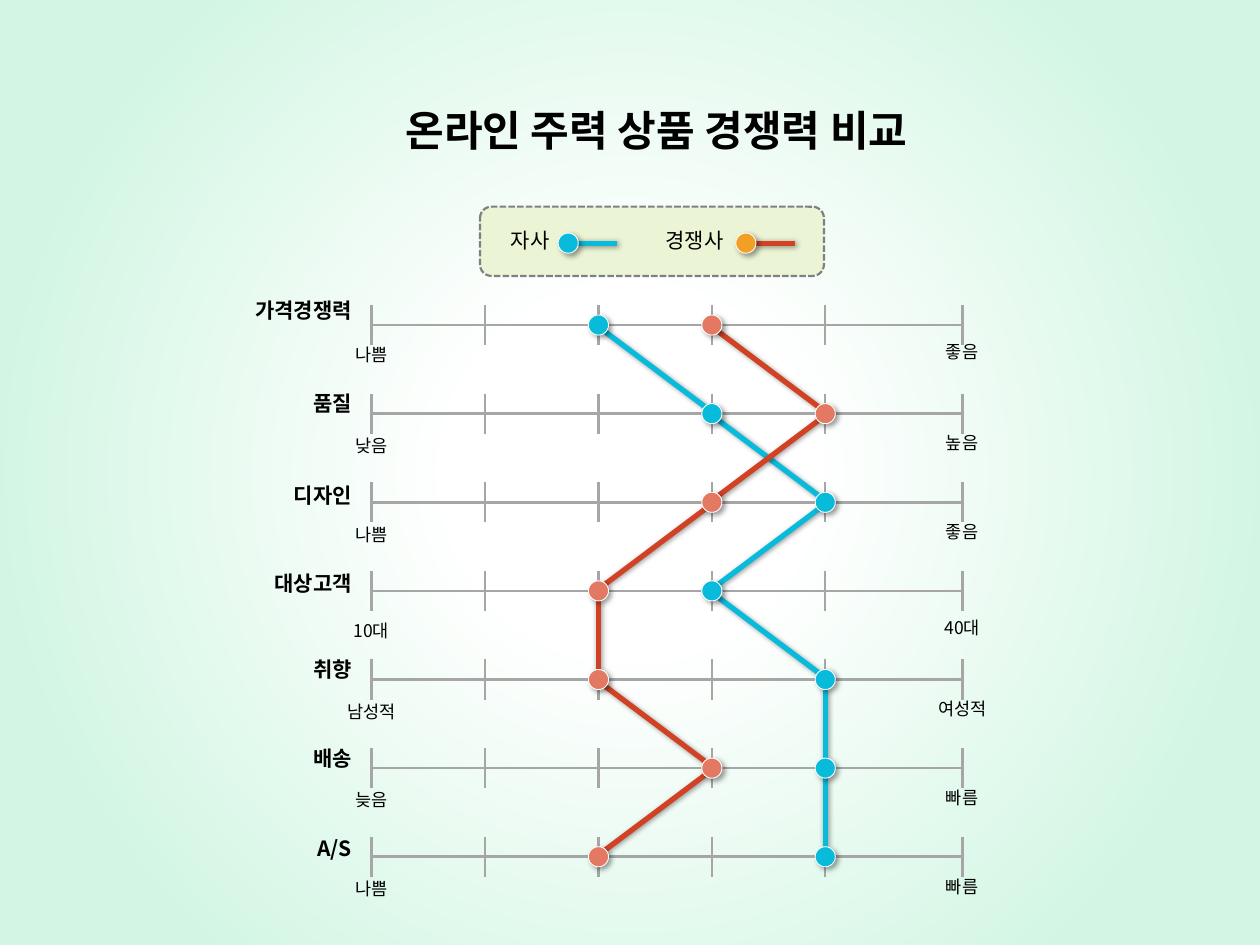
from dataclasses import dataclass

from lxml import etree
from pptx import Presentation
from pptx.dml.color import RGBColor
from pptx.enum.dml import MSO_LINE
from pptx.enum.shapes import MSO_CONNECTOR, MSO_SHAPE
from pptx.enum.text import PP_ALIGN
from pptx.oxml.ns import qn
from pptx.util import Inches, Pt

STRAIGHT = MSO_CONNECTOR.STRAIGHT
OVAL, ROUNDED = MSO_SHAPE.OVAL, MSO_SHAPE.ROUNDED_RECTANGLE
SMALL_DASH = MSO_LINE.SQUARE_DOT
CENTER, RIGHT = PP_ALIGN.CENTER, PP_ALIGN.RIGHT


@dataclass(frozen=True)
class Theme:
    font: str = "Noto Sans CJK KR"
    title_size: int = 24
    label_size: int = 12
    caption_size: int = 10
    text: str = "000000"
    white: str = "FFFFFF"
    mint: str = "D2F6E3"
    grid: str = "A6A6A6"
    own: str = "08BBDB"
    rival: str = "D14224"
    rival_marker: str = "E47963"
    rival_key: str = "F29F26"
    legend_fill: str = "ECF4D6"
    legend_line: str = "808080"


THEME = Theme()
MARKER = 0.16
LINE_SHADOW = (1, 45)
MARKER_SHADOW = (2, 40)

# name, left caption, right caption, name rise, caption drop
SCALES = [
    ("가격경쟁력", "나쁨", "좋음", 0.27, 0.10),
    ("품질", "낮음", "높음", 0.23, 0.12),
    ("디자인", "나쁨", "좋음", 0.21, 0.12),
    ("대상고객", "10대", "40대", 0.21, 0.18),
    ("취향", "남성적", "여성적", 0.23, 0.12),
    ("배송", "늦음", "빠름", 0.23, 0.12),
    ("A/S", "나쁨", "빠름", 0.22, 0.12),
]
# tick reached on each scale, line colour, marker colour
SERIES = [
    ([2, 3, 4, 3, 4, 4, 4], THEME.own, THEME.own),
    ([3, 4, 3, 2, 2, 3, 2], THEME.rival, THEME.rival_marker),
]


def rgb(value):
    return RGBColor.from_string(value)


def add_effects(properties, shadow=None):
    """Set the effect list: empty, or one outer shadow of (distance, angle)."""
    effects = properties.find(qn("a:effectLst"))
    if effects is None:
        effects = etree.SubElement(properties, qn("a:effectLst"))
    if shadow:
        distance, angle = shadow
        outer = etree.SubElement(
            effects, qn("a:outerShdw"), blurRad=str(Pt(3)), dist=str(Pt(distance)),
            dir=str(angle * 60000), algn="tl", rotWithShape="0")
        color = etree.SubElement(outer, qn("a:srgbClr"), val=THEME.text)
        etree.SubElement(color, qn("a:alpha"), val="40000")


def add_line(shapes, start, end, color, width, shadow=None):
    line = shapes.add_connector(STRAIGHT, *(Inches(v) for v in (*start, *end)))
    line.line.color.rgb = rgb(color)
    line.line.width = Pt(width)
    add_effects(line._element.spPr, shadow)


def add_panel(shapes, kind, box, fill, outline, width, shadow=None):
    panel = shapes.add_shape(kind, *(Inches(v) for v in box))
    panel.shadow.inherit = False
    panel.fill.solid()
    panel.fill.fore_color.rgb = rgb(fill)
    panel.line.color.rgb = rgb(outline)
    panel.line.width = Pt(width)
    add_effects(panel._element.spPr, shadow)
    return panel


def add_marker(shapes, x, y, color):
    box = (x - MARKER / 2, y - MARKER / 2, MARKER, MARKER)
    add_panel(shapes, OVAL, box, color, THEME.white, 0.5, MARKER_SHADOW)


def add_text(shapes, box, text, size, align, bold=False):
    frame = shapes.add_textbox(*(Inches(v) for v in box)).text_frame
    frame.word_wrap = True
    para = frame.paragraphs[0]
    para.text = text
    para.alignment = align
    font = para.font
    font.size, font.bold, font.name = Pt(size), bold, THEME.font
    font.color.rgb = rgb(THEME.text)
    latin = para._p.pPr.find(qn("a:defRPr")).find(qn("a:latin"))
    east_asian = etree.Element(qn("a:ea"), typeface=THEME.font)
    latin.addnext(east_asian)


def paint_background(page):
    fill = page.background.fill
    fill.gradient()
    for stop, position, color in zip(
            fill.gradient_stops, (0.22, 0.82), (THEME.white, THEME.mint)):
        stop.position = position
        stop.color.rgb = rgb(color)
    gradient = page._element.find(".//" + qn("a:gradFill"))
    gradient.remove(gradient.find(qn("a:lin")))
    circle = etree.SubElement(gradient, qn("a:path"), path="circle")
    etree.SubElement(circle, qn("a:fillToRect"), l="50000", t="50000", r="50000", b="50000")


def add_scale(page, left, right, y, ticks):
    shapes = page.shapes.add_group_shape().shapes
    add_line(shapes, (left, y), (right, y), THEME.grid, 1.5)
    for x in (*ticks, right):
        width = 2 if x in (left, right) else 1.25
        add_line(shapes, (x, y - 0.16), (x, y + 0.16), THEME.grid, width)


def add_segment(shapes, start, end, color):
    """Join two markers edge to edge, going downwards."""
    (x1, y1), (x2, y2) = start, end
    side = (x2 > x1) - (x2 < x1)
    trim_x, trim_y = 0.055 * side, 0.055 if side else MARKER / 2
    add_line(shapes, (x1 + trim_x, y1 + trim_y), (x2 - trim_x, y2 - trim_y),
             color, 3, LINE_SHADOW)


def add_profile(page, box):
    """Place the scales, their labels and both series; box spans the scale lines."""
    left, top, width, height = box
    right = left + width
    ticks = [left + 0.9 * i for i in range(5)]
    rows = [top + height / (len(SCALES) - 1) * i for i in range(len(SCALES))]
    shapes = page.shapes

    for y in rows:
        add_scale(page, left, right, y, ticks)
    for y, (name, low, high, rise, drop) in zip(rows, SCALES):
        for x, caption, lift in ((right, high, 0.02), (left, low, 0)):
            add_text(shapes, (x - 0.55, y + drop - lift, 1.09, 0.27), caption,
                     THEME.caption_size, CENTER)
        add_text(shapes, (left - 1.23, y - rise, 1.17, 0.3), name,
                 THEME.label_size, RIGHT, bold=True)

    paths = [[(ticks[level], y) for level, y in zip(levels, rows)]
             for levels, _, _ in SERIES]
    for points, (_, color, _) in zip(paths, SERIES):
        for start, end in zip(points, points[1:]):
            add_segment(shapes, start, end, color)
    for points, (_, _, color) in zip(paths, SERIES):
        for x, y in points:
            add_marker(shapes, x, y, color)


def add_legend(page, box):
    left, top, _, _ = box
    panel = add_panel(page.shapes, ROUNDED, box, THEME.legend_fill, THEME.legend_line, 1.25)
    panel.line.dash_style = SMALL_DASH
    y = top + 0.29
    keys = [("자사", 0.70, 0.05, THEME.own, THEME.own),
            ("경쟁사", 2.11, 0.08, THEME.rival, THEME.rival_key)]
    for name, offset, gap, line_color, marker_color in keys:
        x = left + offset
        shapes = page.shapes.add_group_shape().shapes
        add_line(shapes, (x + 0.08, y), (x + 0.39, y), line_color, 3, LINE_SHADOW)
        add_marker(shapes, x, y, marker_color)
        add_text(shapes, (x - gap - 0.85, y - 0.17, 0.85, 0.31), name,
                 THEME.label_size, RIGHT)


def main():
    deck = Presentation()
    deck.slide_width, deck.slide_height = Inches(10), Inches(7.5)
    page = deck.slides.add_slide(deck.slide_layouts[6])
    paint_background(page)
    add_profile(page, (2.95, 2.58, 4.69, 4.22))
    add_legend(page, (3.81, 1.64, 2.73, 0.55))
    add_text(page.shapes, (2.71, 0.78, 5, 0.5), "온라인 주력 상품 경쟁력 비교",
             THEME.title_size, CENTER, bold=True)
    deck.save("out.pptx")


if __name__ == "__main__":
    main()
